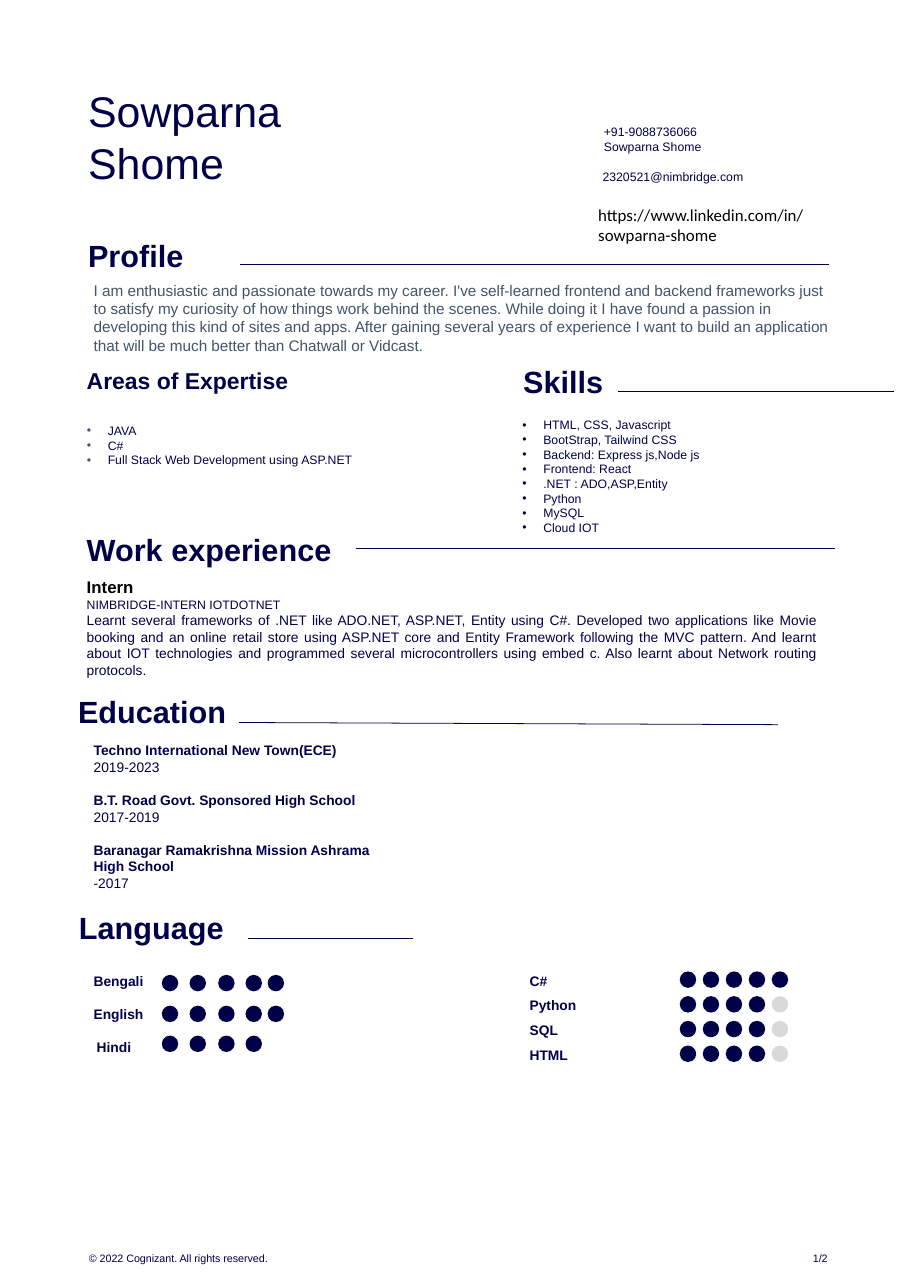
from lxml.etree import SubElement
from pptx import Presentation
from pptx.dml.color import RGBColor
from pptx.enum.shapes import MSO_CONNECTOR as CONN, MSO_SHAPE as SHAPE
from pptx.enum.text import MSO_ANCHOR as ANCHOR, MSO_AUTO_SIZE as FIT, PP_ALIGN as ALIGN
from pptx.oxml.ns import qn
from pptx.util import Cm, Pt

NAVY, SLATE, GRAY, BLACK = "000048", "44546A", "D9D9D9", "000000"


def color(hex_text):
    return RGBColor.from_string(hex_text)


def write(box, paras, sp=None, size=9, bold=False, ink=NAVY, face="Arial",
          align=ALIGN.LEFT, spacing=1.0, bullet=None):
    """Place a text box or placeholder; each paragraph is (text, overrides)."""
    x, y, w, h = (Cm(v) for v in box)
    sp = sp or s.shapes.add_textbox(x, y, w, h)
    sp.left, sp.top, sp.width, sp.height = x, y, w, h
    tf = sp.text_frame
    frame = {"word_wrap": True, "auto_size": FIT.NONE, "vertical_anchor": ANCHOR.TOP}
    for name, value in frame.items():
        setattr(tf, name, value)
    for i, (text, extra) in enumerate(paras):
        fmt = {"size": size, "bold": bold, "ink": ink, "align": align, "before": 0} | extra
        p = tf.add_paragraph() if i else tf.paragraphs[0]
        if bullet:
            pPr = p._p.get_or_add_pPr()
            pPr.set("marL", str(Cm(0.48)))
            pPr.set("indent", str(-Cm(0.48)))
            SubElement(SubElement(pPr, qn("a:buClr")), qn("a:srgbClr"), val=bullet)
            SubElement(pPr, qn("a:buFont"), typeface="Arial")
            SubElement(pPr, qn("a:buChar"), char="•")
        layout = {"alignment": fmt["align"], "line_spacing": spacing,
                  "space_before": Pt(fmt["before"]), "space_after": Pt(0)}
        for name, value in layout.items():
            setattr(p, name, value)
        r = p.add_run()
        r.text = text
        for name, value in {"name": face, "size": Pt(fmt["size"]), "bold": fmt["bold"]}.items():
            setattr(r.font, name, value)
        r.font.color.rgb = color(fmt["ink"])


prs = Presentation()
prs.slide_width, prs.slide_height = Cm(21), Cm(29.7)
s = prs.slides.add_slide(prs.slide_layouts[3])
title, expertise, skills = s.placeholders

# Name and contact details
write((1.78, 1.83, 6.91, 2.64), [("Sowparna Shome", {})], title, size=28)
write((13.67, 2.74, 7.34, 0.94), [("+91-9088736066", {}), ("Sowparna Shome", {})], size=8)
write((13.64, 3.78, 7.34, 0.61), [("2320521@nimbridge.com", {})], size=8)
write((13.54, 4.6, 6.27, 1.2), [("https://www.linkedin.com/in/sowparna-shome", {})],
      size=11, ink=BLACK, face="Calibri")

# Section headings
headings = [
    ("Profile", 1.78, 5.44, 20),
    ("Areas of Expertise", 1.75, 8.41, 15),
    ("Skills", 11.81, 8.33, 20),
    ("Work experience", 1.75, 12.22, 20),
    ("Education", 1.55, 15.95, 20),
    ("Language", 1.57, 20.93, 20),
]
for text, x, y, size in headings:
    write((x, y, 8, 1), [(text, {})], size=size, bold=True, spacing=0.9)

# Rules beside the headings
rules = [
    (5.54, 6.1, 19.1, 6.1),
    (14.25, 9.02, 20.6, 9.02),
    (8.2, 12.65, 19.25, 12.65),
    (5.51, 16.66, 17.93, 16.71),
    (5.72, 21.64, 9.53, 21.64),
]
for ends in rules:
    rule = s.shapes.add_connector(CONN.STRAIGHT, *(Cm(v) for v in ends))
    rule.line.color.rgb = color(NAVY)
    rule.line.width = Pt(0.5)
    SubElement(rule._element.spPr, qn("a:effectLst"))

# Profile
write((1.91, 6.35, 17.53, 1.96), [(
    "I am enthusiastic and passionate towards my career. I've self-learned frontend and "
    "backend frameworks just to satisfy my curiosity of how things work behind the scenes. "
    "While doing it I have found a passion in developing this kind of sites and apps. After "
    "gaining several years of experience I want to build an application that will be much "
    "better than Chatwall or Vidcast.", {})], size=10, ink=SLATE)

# Expertise and skills lists
areas = ["JAVA", "C#", "Full Stack Web Development using ASP.NET"]
tools = ["HTML, CSS, Javascript", "BootStrap, Tailwind CSS", "Backend: Express js,Node js",
         "Frontend: React", ".NET : ADO,ASP,Entity", "Python", "MySQL", "Cloud IOT"]
write((1.75, 9.63, 6.76, 1.4), [(t, {}) for t in areas], expertise, size=8, bullet=SLATE)
write((11.79, 9.5, 7.47, 2.95), [(t, {}) for t in tools], skills, size=8, bullet=NAVY)

# Work experience
write((1.75, 13.18, 17.32, 2.77), [
    ("Intern", {"size": 11, "bold": True, "ink": BLACK}),
    ("NIMBRIDGE-INTERN IOTDOTNET", {"size": 8}),
    ("Learnt several frameworks of .NET like ADO.NET, ASP.NET, Entity using C#. Developed two "
     "applications like Movie booking and an online retail store using ASP.NET core and Entity "
     "Framework following the MVC pattern. And learnt about IOT technologies and programmed "
     "several microcontrollers using embed c. Also learnt about Network routing protocols.",
     {"align": ALIGN.JUSTIFY}),
])

# Education
schools = [
    ("Techno International New Town(ECE)", "2019-2023"),
    ("B.T. Road Govt. Sponsored High School", "2017-2019"),
    ("Baranagar Ramakrishna Mission Ashrama High School", "-2017"),
]
lines = []
for i, (school, years) in enumerate(schools):
    lines += [(school, {"bold": True, "before": 10.8 if i else 0}), (years, {})]
write((1.91, 16.99, 7.34, 3.8), lines)

# Language ratings: label, label x, label y, dots y, dots x, filled dots
spoken_x = [3.73, 4.37, 5.03, 5.66, 6.17]
code_x = [15.67 + 0.53 * i for i in range(5)]
ratings = [
    ("Bengali", 1.91, 22.3, 22.48, spoken_x, 5),
    ("English", 1.91, 23.06, 23.19, spoken_x, 5),
    ("Hindi", 1.98, 23.83, 23.88, spoken_x[:4], 4),
]
for i, (label, filled) in enumerate([("C#", 5), ("Python", 4), ("SQL", 4), ("HTML", 4)]):
    ratings.append((label, 11.96, 22.3 + 0.57 * i, 22.4 + 0.57 * i, code_x, filled))
for label, x, y, dot_y, dot_xs, filled in ratings:
    write((x, y, 3, 0.64), [(label, {})], bold=True)
    for i, dot_x in enumerate(dot_xs):
        dot = s.shapes.add_shape(SHAPE.OVAL, Cm(dot_x), Cm(dot_y), Cm(0.38), Cm(0.38))
        dot.shadow.inherit = False
        dot.fill.solid()
        dot.fill.fore_color.rgb = color(NAVY if i < filled else GRAY)
        dot.line.fill.background()

# Footer
write((1.8, 28.75, 6.3, 0.56), [("© 2022 Cognizant. All rights reserved.", {})], size=7)
write((14.25, 28.75, 5.08, 0.56), [("1/2", {})], size=7, align=ALIGN.RIGHT)

prs.save("out.pptx")
